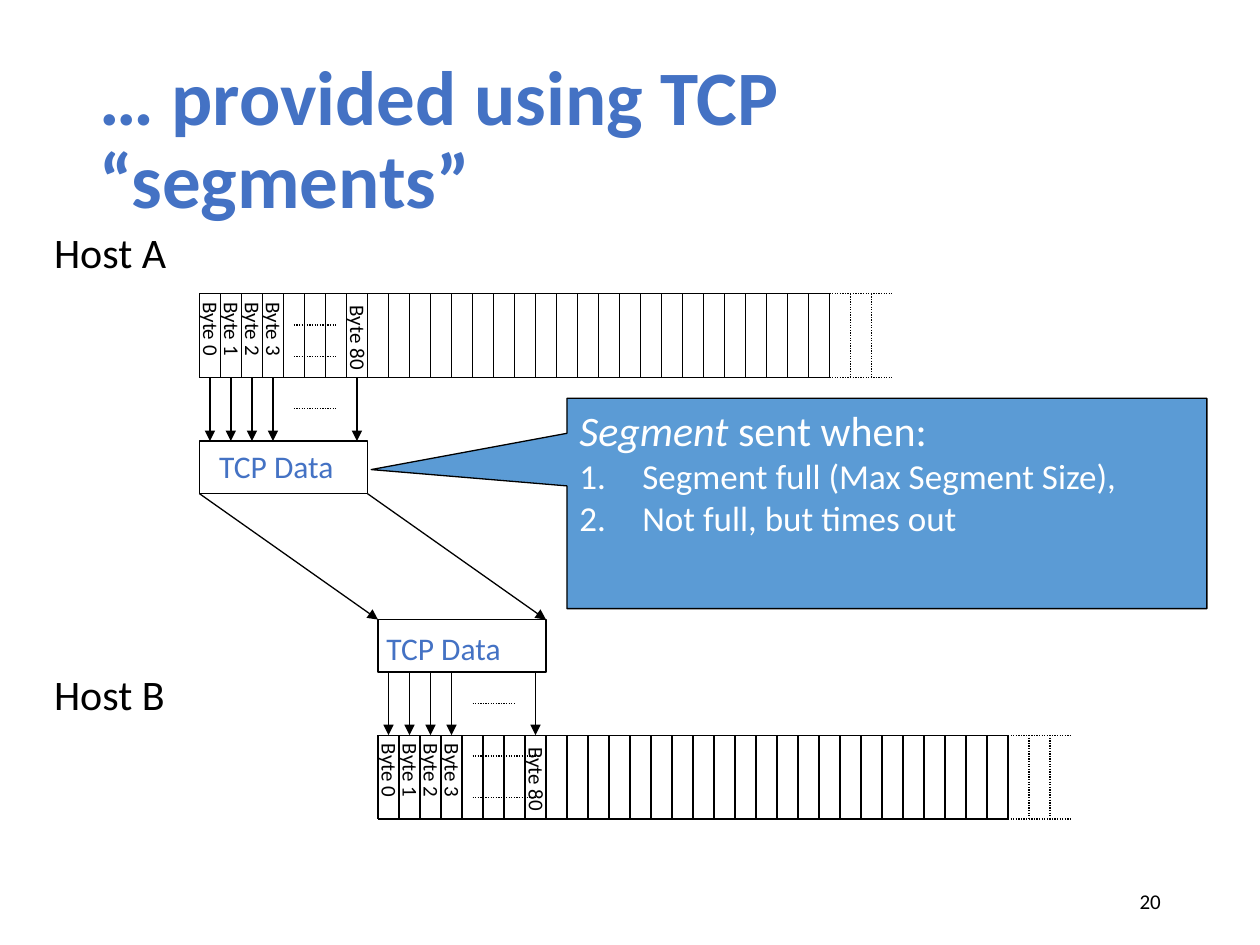
"""Build the slide that shows a byte stream carried between hosts in TCP segments."""
from lxml import etree
from pptx import Presentation
from pptx.dml.color import RGBColor
from pptx.enum import dml, shapes, text
from pptx.oxml import ns
from pptx.util import Cm, Pt

BLACK, WHITE, BLUE, SKY = "000000", "FFFFFF", "4472C4", "5B9BD5"


def write(frame, wording, size, color=BLACK, bold=False, italic=False, align=text.PP_ALIGN.LEFT):
    paragraph = frame.paragraphs[-1]
    paragraph.alignment = align
    run = paragraph.add_run()
    run.text = wording
    font = run.font
    font.name, font.size, font.bold, font.italic = "Calibri", Pt(size), bold, italic
    font.color.rgb = RGBColor.from_string(color)
    return paragraph


def rule(x1, y1, x2, y2, dotted=False, arrow=False):
    line = slide.shapes.add_connector(shapes.MSO_CONNECTOR.STRAIGHT, Cm(x1), Cm(y1), Cm(x2), Cm(y2))
    line.line.width = Pt(0.75)
    line.line.color.rgb = RGBColor.from_string(BLACK)
    if dotted:
        line.line.dash_style = dml.MSO_LINE.ROUND_DOT
    if arrow:
        etree.SubElement(line.line._get_or_add_ln(), ns.qn("a:tailEnd"), type="triangle")
    etree.SubElement(line._element.spPr, ns.qn("a:effectLst"))


deck = Presentation()
deck.slide_width, deck.slide_height = Cm(25.4), Cm(19.05)
slide = deck.slides.add_slide(deck.slide_layouts[5])

title = slide.shapes.title
title.left, title.top, title.width, title.height = Cm(1.75), Cm(1.02), Cm(21.9), Cm(3.68)
title.text_frame.vertical_anchor = text.MSO_ANCHOR.MIDDLE
write(title.text_frame, "… provided using TCP “segments”", 44, BLUE, bold=True).line_spacing = 0.9

cells, stream_width, stream_height = 30, 12.7, 1.69
pitch = stream_width / cells
segment_width, segment_height = 8 * pitch, 1.06
sent_bytes = {0: "Byte 0", 1: "Byte 1", 2: "Byte 2", 3: "Byte 3", 7: "Byte 80"}

hosts = [
    dict(left=4.02, stream=5.92, segment=8.89, arrows=(7.62, 8.89),
         gaps=[(6.55, 2), (7.19, 2), (8.24, 2)]),
    dict(left=7.62, stream=14.82, segment=12.49, arrows=(13.55, 14.82),
         gaps=[(15.24, 3), (16.08, 3), (14.18, 2)]),
]
labels = [
    ("Host A", 0.84, 4.45, 3.05, 1.27, 24, BLACK, 0),
    ("Host B", 0.84, 13.36, 3.07, 1.27, 24, BLACK, 0),
    ("TCP Data", 4.17, 8.89, 2.84, 1.02, 18, BLUE, 0),
    ("TCP Data", 7.54, 12.55, 2.84, 1.02, 18, BLUE, 0),
]

for host in hosts:
    left, top = host["left"], host["stream"]
    right, bottom = left + stream_width, top + stream_height
    for edge in (top, bottom):
        rule(left, edge, right, edge)
        rule(right, edge, right + 3 * pitch, edge, dotted=True)
    for cell in range(cells + 3):
        x = left + cell * pitch
        rule(x, top, x, bottom, dotted=cell > cells)
    for y, span in host["gaps"]:
        rule(left + 4.5 * pitch, y, left + (4.5 + span) * pitch, y, dotted=True)

    segment = slide.shapes.add_shape(shapes.MSO_SHAPE.RECTANGLE, Cm(left), Cm(host["segment"]),
                                     Cm(segment_width), Cm(segment_height))
    segment.shadow.inherit = False
    segment.fill.solid()
    segment.fill.fore_color.rgb = RGBColor.from_string(WHITE)
    segment.line.color.rgb = RGBColor.from_string(BLACK)
    segment.line.width = Pt(0.75)

    for cell, name in sent_bytes.items():
        center = left + (cell + 0.5) * pitch
        start, end = host["arrows"]
        rule(center, start, center, end, arrow=True)
        width, middle = (1.96, 0.97) if cell == 7 else (1.73, 0.79)
        labels.append((name, center + 0.03 - width / 2, top + middle - 0.38,
                       width, 0.76, 12, BLACK, 89.8))

sender, receiver = hosts
for offset in (0, segment_width):
    rule(sender["left"] + offset, sender["segment"] + segment_height,
         receiver["left"] + offset, receiver["segment"], arrow=True)

for wording, left, top, width, height, size, color, angle in labels:
    label = slide.shapes.add_textbox(Cm(left), Cm(top), Cm(width), Cm(height))
    label.rotation = angle
    label.text_frame.word_wrap = False
    label.text_frame.auto_size = text.MSO_AUTO_SIZE.SHAPE_TO_FIT_TEXT
    write(label.text_frame, wording, size, color)

callout = slide.shapes.add_shape(shapes.MSO_SHAPE.RECTANGULAR_CALLOUT,
                                 Cm(11.43), Cm(8.03), Cm(12.9), Cm(4.24))
callout.adjustments[0], callout.adjustments[1] = -0.806, -0.161
callout.shadow.inherit = False
callout.fill.solid()
callout.fill.fore_color.rgb = RGBColor.from_string(SKY)
callout.line.color.rgb = RGBColor.from_string(BLACK)
callout.line.width = Pt(0.75)
conditions = callout.text_frame
conditions.word_wrap = True
conditions.vertical_anchor = text.MSO_ANCHOR.TOP
write(conditions, "Segment ", 24, WHITE, italic=True)
write(conditions, "sent when:", 24, WHITE)
for condition in ("Segment full (Max Segment Size),", "Not full, but times out"):
    conditions.add_paragraph()
    properties = write(conditions, condition, 20, WHITE)._p.get_or_add_pPr()
    properties.set("marL", str(Cm(1.27)))
    properties.set("indent", str(-Cm(1.27)))
    etree.SubElement(properties, ns.qn("a:buFont"), typeface="+mj-lt")
    etree.SubElement(properties, ns.qn("a:buAutoNum"), type="arabicPeriod")

page = slide.shapes.add_textbox(Cm(17.93), Cm(17.65), Cm(5.72), Cm(1.02))
page.text_frame.word_wrap = True
page.text_frame.vertical_anchor = text.MSO_ANCHOR.MIDDLE
write(page.text_frame, "20", 12, align=text.PP_ALIGN.RIGHT)

deck.save("out.pptx")
